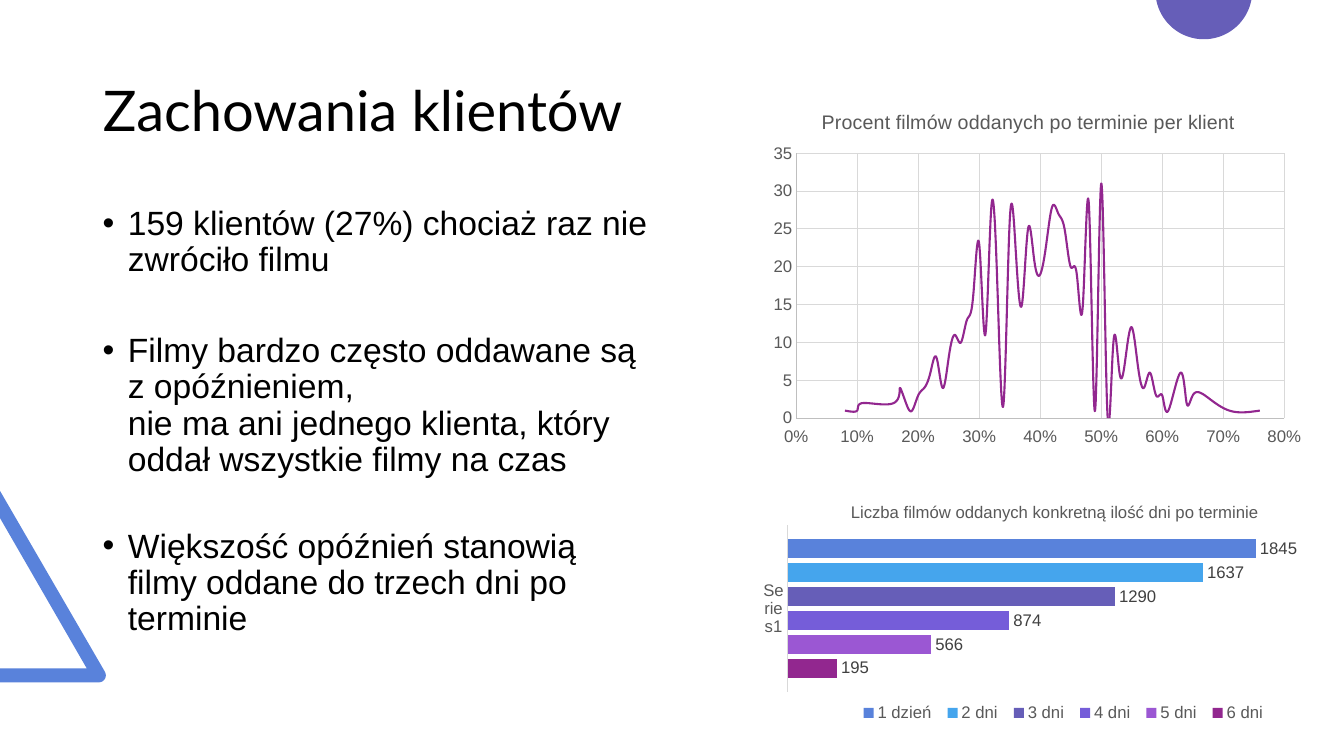
"""Build a slide on how clients return films, with two charts."""
from dataclasses import dataclass
from math import cos, radians, sin

from pptx import Presentation
from pptx.chart.data import CategoryChartData, XyChartData
from pptx.dml.color import RGBColor
from pptx.enum.chart import (XL_CHART_TYPE, XL_LABEL_POSITION,
                             XL_LEGEND_POSITION, XL_TICK_LABEL_POSITION,
                             XL_TICK_MARK)
from pptx.enum.text import MSO_ANCHOR, MSO_AUTO_SIZE, PP_ALIGN
from pptx.oxml import parse_xml
from pptx.oxml.ns import nsdecls, qn
from pptx.util import Inches, Pt

SMOOTH = XL_CHART_TYPE.XY_SCATTER_SMOOTH_NO_MARKERS
BARS = XL_CHART_TYPE.BAR_CLUSTERED
BOTTOM = XL_LEGEND_POSITION.BOTTOM
OUTSIDE = XL_LABEL_POSITION.OUTSIDE_END
LOW = XL_TICK_LABEL_POSITION.LOW
NONE = XL_TICK_MARK.NONE
MIDDLE = MSO_ANCHOR.MIDDLE
FIXED = MSO_AUTO_SIZE.NONE
LEFT = PP_ALIGN.LEFT
GREY, RULE = "595959", "D9D9D9"


@dataclass
class Bullet:
    text: str
    gap: float


@dataclass
class Bar:
    name: str
    value: int
    color: str


@dataclass
class Frame:
    left: float
    top: float
    width: float
    height: float


BULLETS = [
    Bullet("159 klientów (27%) chociaż raz nie zwróciło filmu", 0),
    Bullet("Filmy bardzo często oddawane są z opóźnieniem,\v"
           "nie ma ani jednego klienta, który oddał wszystkie filmy na czas", 39),
    Bullet("Większość opóźnień stanowią filmy oddane do trzech dni po terminie", 36),
]
DAYS = [
    Bar("6 dni", 195, "92278F"),
    Bar("5 dni", 566, "9B57D3"),
    Bar("4 dni", 874, "755DD9"),
    Bar("3 dni", 1290, "665EB8"),
    Bar("2 dni", 1637, "45A5ED"),
    Bar("1 dzień", 1845, "5982DB"),
]
LATE = [76, 71, 67, 65, 64, 63, *range(61, 15, -1), 11, 10, 8]
COUNTS = [1, 1, 3, 3, 2, 6, 1, 3, 3, 6, 4, 7, 12, 8, 6, 10, 1, 31, 1, 28, 15, 19,
          20, 25, 27, 28, 23, 19, 21, 25, 15, 22, 26, 2, 17, 28, 11, 23, 16, 13,
          10, 11, 8, 4, 8, 6, 4, 3, 1, 2, 4, 2, 2, 1, 1]


def paint(target, color: str) -> None:
    """Give a fill, or a line's fill, one solid colour."""
    target.solid()
    target.fore_color.rgb = RGBColor.from_string(color)


def style(font, size: float, color: str, face: str = "Arial") -> None:
    """Set the face, size and colour of a font."""
    font.name, font.size, font.bold = face, Pt(size), False
    font.color.rgb = RGBColor.from_string(color)


def stroke(line, color: str, width: float = 0.75) -> None:
    """Set the colour and width of a line."""
    paint(line.fill, color)
    line.width = Pt(width)


def arc(x: float, y: float, radius: float, start: int, stop: int, step: int) -> list:
    """List the points of an arc, with angles in degrees."""
    return [(x + radius * cos(radians(a)), y + radius * sin(radians(a)))
            for a in range(start, stop + 1, step)]


def outline(slide, points: list, color: str) -> None:
    """Draw a closed, filled outline through points in inches."""
    spots = [(Inches(x), Inches(y)) for x, y in points]
    trace = slide.shapes.build_freeform(*spots[0], scale=1.0)
    trace.add_line_segments(spots[1:], close=True)
    shape = trace.convert_to_shape()
    shape.shadow.inherit = False
    paint(shape.fill, color)
    shape.line.fill.background()


def place(part, x: float, y: float, size: tuple = (), target: str = "") -> None:
    """Put a chart part at a fraction of the chart's area."""
    for old in part.findall(qn("c:layout")):
        part.remove(old)
    extent = '<c:w val="%s"/><c:h val="%s"/>' % size if size else ""
    layout = parse_xml(
        f'<c:layout {nsdecls("c")}><c:manualLayout>{target}'
        f'<c:xMode val="edge"/><c:yMode val="edge"/>'
        f'<c:x val="{x}"/><c:y val="{y}"/>{extent}</c:manualLayout></c:layout>')
    overlay = part.find(qn("c:overlay"))
    if overlay is None:
        part.insert(0, layout)
    else:
        overlay.addprevious(layout)


def draw_chart(slide, kind, data, box: Frame, plot: Frame):
    """Add a chart with its font and plot area set."""
    sides = [Inches(v) for v in (box.left, box.top, box.width, box.height)]
    chart = slide.shapes.add_chart(kind, *sides, data).chart
    style(chart.font, 12, GREY)
    area = chart._chartSpace.find(".//" + qn("c:plotArea"))
    place(area, plot.left, plot.top, (plot.width, plot.height),
          '<c:layoutTarget val="inner"/>')
    return chart


def head(chart, text: str, size: float, x: float, y: float) -> None:
    """Write and place the title of a chart."""
    chart.has_title = True
    title = chart.chart_title
    title.text_frame.text = text
    style(title.text_frame.paragraphs[0].runs[0].font, size, GREY)
    title.include_in_layout = False
    place(title._element, x, y)


def scale(axis, top: float, step: float, form: str) -> None:
    """Set the range, grid and labels of a value axis."""
    axis.minimum_scale, axis.maximum_scale, axis.major_unit = 0, top, step
    axis.major_tick_mark = axis.minor_tick_mark = NONE
    axis.has_major_gridlines = True
    stroke(axis.major_gridlines.format.line, RULE)
    stroke(axis.format.line, "BFBFBF")
    axis.tick_labels.number_format = form
    axis.tick_labels.number_format_is_linked = False
    style(axis.tick_labels.font, 12, GREY)


def draw_curve(slide) -> None:
    """Draw the curve of late returns per client."""
    data = XyChartData()
    points = data.add_series("Series 1")
    for pct, count in zip(LATE, COUNTS):
        points.add_data_point(pct / 100, count)
    chart = draw_chart(slide, SMOOTH, data, Frame(7.57, 0.91, 5.44, 3.6),
                       Frame(0.06, 0.17, 0.89, 0.73))
    head(chart, "Procent filmów oddanych po terminie per klient", 14, 0.1, 0.04)
    chart.has_legend = False
    scale(chart.category_axis, 0.8, 0.1, "0%")
    chart.category_axis.tick_label_position = LOW
    scale(chart.value_axis, 35, 5, "General")
    curve = chart.plots[0].series[0]
    curve._element.find(qn("c:smooth")).set("val", "1")
    stroke(curve.format.line, "92278F", 1.5)


def draw_bars(slide) -> None:
    """Draw the bars of films by days late."""
    data = CategoryChartData()
    data.categories = [""]
    for bar in DAYS:
        data.add_series(bar.name, [bar.value])
    chart = draw_chart(slide, BARS, data, Frame(7.57, 4.69, 5.44, 2.59),
                       Frame(0.04, 0.2, 0.93, 0.64))
    head(chart, "Liczba filmów oddanych konkretną ilość dni po terminie", 12, 0.15, 0.1)
    axis = chart.category_axis
    axis.major_tick_mark = NONE
    stroke(axis.format.line, RULE)
    style(axis.tick_labels.font, 12, GREY)
    value = chart.value_axis
    value.minimum_scale, value.maximum_scale = 0, 2000
    value.has_major_gridlines = value.visible = False
    plot = chart.plots[0]
    plot.gap_width, plot.overlap, plot.vary_by_categories = 150, -25, False
    for bar, series in zip(DAYS, plot.series):
        paint(series.format.fill, bar.color)
        labels = series.data_labels
        labels.show_value, labels.position = True, OUTSIDE
        style(labels.font, 12, "404040")
        for blank in series._element.findall(f'{qn("c:cat")}//{qn("c:pt")}'):
            blank.getparent().remove(blank)
    chart.has_legend = True
    chart.legend.position = BOTTOM
    chart.legend.include_in_layout = False
    style(chart.legend.font, 12, GREY)
    place(chart.legend._element, 0.16, 0.87, (0.77, 0.1))


def write_title(slide) -> None:
    """Move, fill and format the title."""
    title = slide.shapes.title
    title.left, title.top = Inches(0.92), Inches(0.4)
    title.width, title.height = Inches(11.5), Inches(1.45)
    frame = title.text_frame
    frame.text = "Zachowania klientów"
    frame.auto_size, frame.vertical_anchor = FIXED, MIDDLE
    line = frame.paragraphs[0]
    line.alignment, line.line_spacing = LEFT, 0.9
    style(line.runs[0].font, 40, "000000", "Lato")


def write_list(slide) -> None:
    """Write the bulleted findings."""
    frame = slide.shapes.add_textbox(Inches(0.92), Inches(2), Inches(5.67),
                                     Inches(4.76)).text_frame
    frame.word_wrap = True
    for i, item in enumerate(BULLETS):
        line = frame.add_paragraph() if i else frame.paragraphs[0]
        line.text = item.text
        line.line_spacing, line.space_before = 0.9, Pt(item.gap)
        props = line._p.get_or_add_pPr()
        props.set("marL", str(Inches(0.25)))
        props.set("indent", str(-Inches(0.25)))
        props.append(parse_xml(f'<a:buFont {nsdecls("a")} typeface="Arial"/>'))
        props.append(parse_xml(f'<a:buChar {nsdecls("a")} char="•"/>'))
        for run in line.runs:
            style(run.font, 24, "000000")


def main() -> None:
    """Build and save the slide."""
    deck = Presentation()
    deck.slide_width, deck.slide_height = Inches(13.33), Inches(7.5)
    slide = deck.slides.add_slide(deck.slide_layouts[5])
    corner = arc(0.98, 6.7, 0.07, -30, 90, 15)
    outline(slide, [(0, 6.77), (0, 6.63), (0.86, 6.63), (0, 5.14), (0, 4.87),
                    *corner], "5982DB")
    outline(slide, arc(11.94, -0.09, 0.48, 11, 169, 2), "665EB8")
    write_title(slide)
    write_list(slide)
    draw_curve(slide)
    draw_bars(slide)
    deck.save("out.pptx")


if __name__ == "__main__":
    main()
